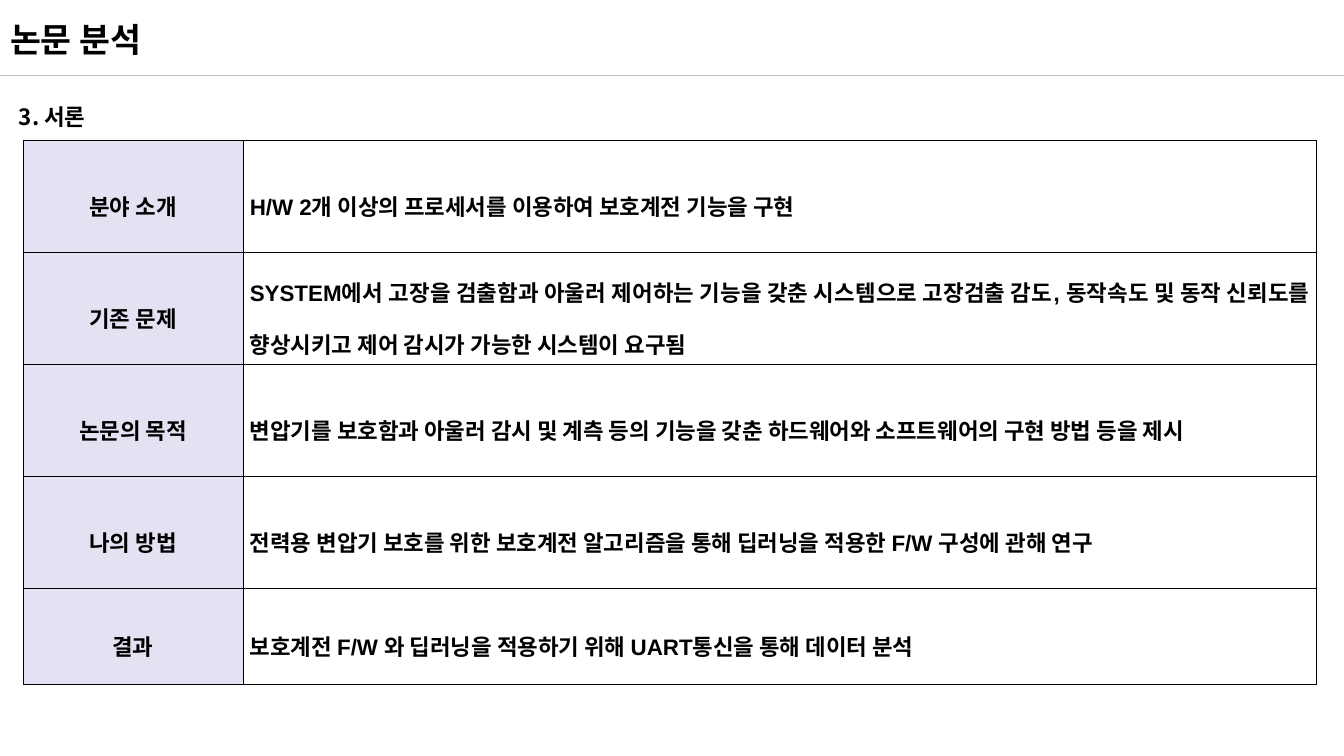
from lxml.etree import SubElement
from pptx import Presentation
from pptx.dml.color import RGBColor
from pptx.enum.shapes import MSO_CONNECTOR
from pptx.enum.text import MSO_ANCHOR, PP_ALIGN
from pptx.oxml.ns import qn
from pptx.util import Pt

COLORS = {"ink": "000000", "rule": "BFBFBF", "label": "E3E2F2"}
HANGUL = "Noto Sans CJK KR"
ROWS = [
    ("분야 소개", "H/W 2개 이상의 프로세서를 이용하여 보호계전 기능을 구현"),
    ("기존 문제", "SYSTEM에서 고장을 검출함과 아울러 제어하는 기능을 갖춘 시스템으로 "
     "고장검출 감도, 동작속도 및 동작 신뢰도를 향상시키고 제어 감시가 가능한 시스템이 요구됨"),
    ("논문의 목적", "변압기를 보호함과 아울러 감시 및 계측 등의 기능을 갖춘 "
     "하드웨어와 소프트웨어의 구현 방법 등을 제시"),
    ("나의 방법", "전력용 변압기 보호를 위한 보호계전 알고리즘을 통해 "
     "딥러닝을 적용한 F/W 구성에 관해 연구"),
    ("결과", "보호계전 F/W 와 딥러닝을 적용하기 위해 UART통신을 통해 데이터 분석"),
]
WIDTHS = [157, 767]
HEIGHTS = [80, 80, 80, 80, 69]


def color(name):
    return RGBColor.from_string(COLORS[name])


def write(frame, text, size=16, font=HANGUL, align=PP_ALIGN.LEFT, spacing=1.0):
    para = frame.paragraphs[0]
    para.alignment = align
    para.line_spacing = spacing
    para.space_before = Pt(0)
    run = para.add_run()
    run.text = text
    run.font.size = Pt(size)
    run.font.bold = True
    run.font.color.rgb = color("ink")
    run.font.name = font
    SubElement(run.font._element, qn("a:ea"), typeface=HANGUL)


def place(shape, left, top, width, height):
    shape.left, shape.top = Pt(left), Pt(top)
    shape.width, shape.height = Pt(width), Pt(height)


def add_title(slide, text):
    title = slide.shapes.title
    place(title, 0, 10, 924, 36)
    title.text_frame.word_wrap = True
    title.text_frame.vertical_anchor = MSO_ANCHOR.MIDDLE
    write(title.text_frame, text, size=24)


def add_rule(slide, top):
    rule = slide.shapes.add_connector(
        MSO_CONNECTOR.STRAIGHT, Pt(0), Pt(top), Pt(960), Pt(top))
    rule.line.color.rgb = color("rule")
    rule.line.width = Pt(0.5)
    SubElement(rule._element.spPr, qn("a:effectLst"))


def add_heading(slide, text):
    box = slide.shapes.add_textbox(Pt(6.5), Pt(60.5), Pt(925), Pt(65))
    box.text_frame.word_wrap = True
    write(box.text_frame, text, spacing=1.5)


def add_border(cell):
    props = cell._tc.get_or_add_tcPr()
    for index, side in enumerate(("lnL", "lnR", "lnT", "lnB")):
        line = props.makeelement(qn(f"a:{side}"), {"w": str(Pt(0.28))})
        fill = SubElement(line, qn("a:solidFill"))
        SubElement(fill, qn("a:srgbClr"), val=COLORS["ink"])
        props.insert(index, line)


def fill_cell(cell, text, label):
    cell.margin_left = cell.margin_right = Pt(5)
    cell.margin_top = cell.margin_bottom = Pt(1.4)
    cell.vertical_anchor = MSO_ANCHOR.MIDDLE
    if label:
        cell.fill.solid()
        cell.fill.fore_color.rgb = color("label")
    else:
        cell.fill.background()
    align = PP_ALIGN.CENTER if label else PP_ALIGN.JUSTIFY
    write(cell.text_frame, text, font="Arial", align=align, spacing=1.6)
    add_border(cell)


def add_grid(slide):
    table = slide.shapes.add_table(
        len(ROWS), len(WIDTHS), Pt(16.5), Pt(100),
        Pt(sum(WIDTHS)), Pt(sum(HEIGHTS))).table
    table.first_row = table.horz_banding = False
    for col, width in zip(table.columns, WIDTHS):
        col.width = Pt(width)
    for row, height, texts in zip(table.rows, HEIGHTS, ROWS):
        row.height = Pt(height)
        for index, (cell, text) in enumerate(zip(row.cells, texts)):
            fill_cell(cell, text, label=index == 0)


def main():
    deck = Presentation()
    deck.slide_width, deck.slide_height = Pt(960), Pt(540)
    slide = deck.slides.add_slide(deck.slide_layouts[5])
    add_rule(slide, 54)
    add_title(slide, "논문 분석")
    add_heading(slide, "3. 서론")
    add_grid(slide)
    deck.save("out.pptx")


main()
